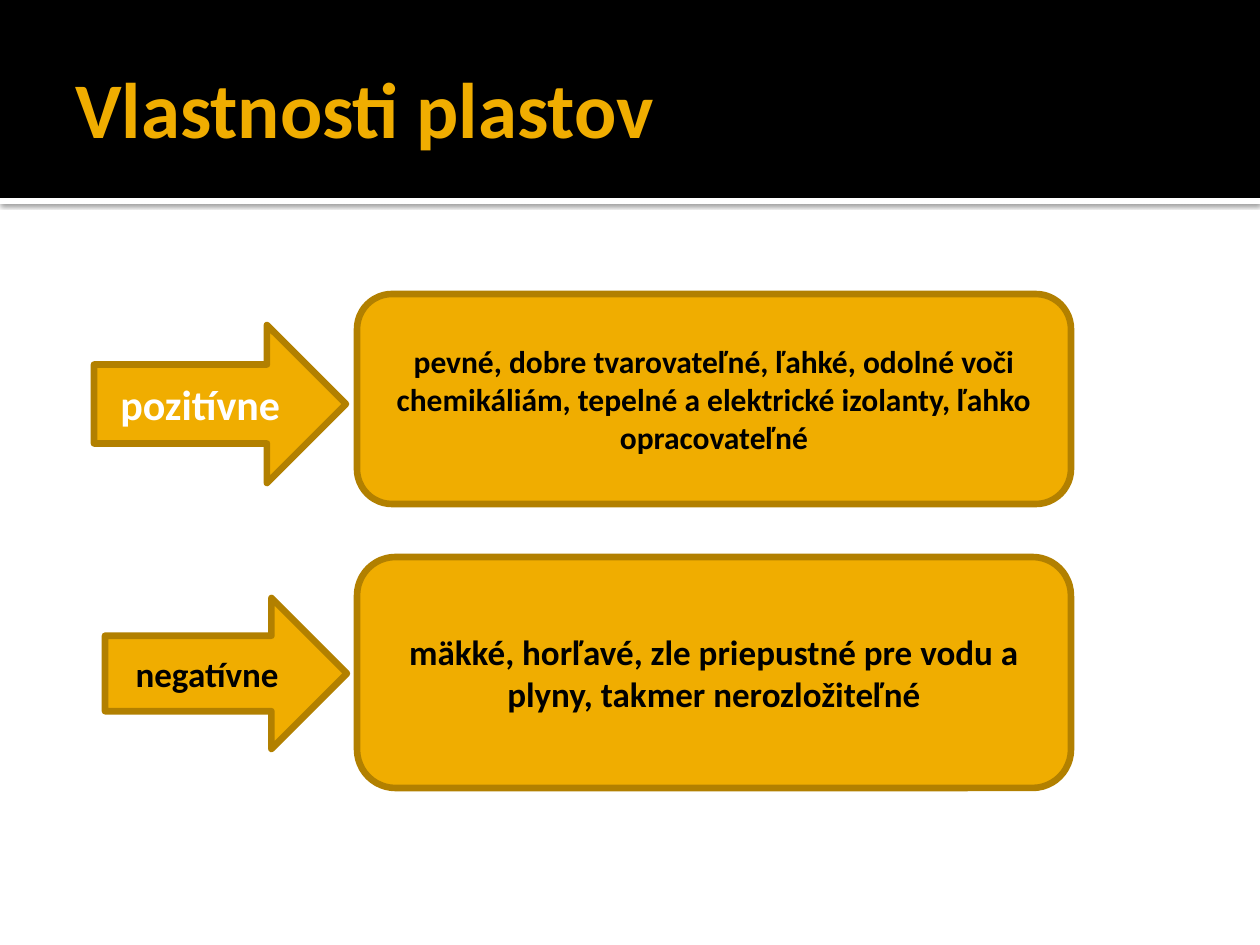
from lxml.etree import SubElement
from pptx import Presentation
from pptx.dml.color import RGBColor
from pptx.enum.shapes import MSO_SHAPE
from pptx.enum.text import MSO_ANCHOR, PP_ALIGN
from pptx.oxml.ns import qn
from pptx.util import Emu, Pt

AMBER = RGBColor(0xF0, 0xAD, 0x00)
BRONZE = RGBColor(0xB2, 0x80, 0x00)
BLACK = RGBColor(0, 0, 0)
WHITE = RGBColor(255, 255, 255)


def px(length):
    """Turn pixels, 126 to the inch, into EMU."""
    return Emu(round(length * 914400 / 126))


def write(shape, text, size, color, align=PP_ALIGN.CENTER):
    """Put one bold, vertically centred paragraph in a shape."""
    frame = shape.text_frame
    frame.word_wrap = True
    frame.vertical_anchor = MSO_ANCHOR.MIDDLE
    para = frame.paragraphs[0]
    para.alignment = align
    span = para.add_run()
    span.text = text
    font = span.font
    font.name, font.size, font.bold = "Calibri", Pt(size), True
    font.color.rgb = color


class Page:
    """Hold the slide and draw its kinds of element."""

    def __init__(self, deck):
        """Add a blank slide."""
        self.slide = deck.slides.add_slide(deck.slide_layouts[6])

    def shape(self, kind, area, fill, line=None):
        """Draw a filled preset shape."""
        shape = self.slide.shapes.add_shape(kind, *map(px, area))
        shape.shadow.inherit = False
        shape.fill.solid()
        shape.fill.fore_color.rgb = fill
        if line is None:
            shape.line.fill.background()
        else:
            shape.line.color.rgb = line
            shape.line.width = Pt(3.78)
        return shape

    def band(self, area, fill, shadow=False):
        """Draw a header band, with a soft shadow below it if asked."""
        band = self.shape(MSO_SHAPE.RECTANGLE, area, fill)
        if shadow:
            effects = band._element.spPr.find(qn("a:effectLst"))
            outer = SubElement(effects, qn("a:outerShdw"), blurRad=str(Pt(2.5)),
                               dist=str(Pt(0.8)), dir="5400000", rotWithShape="0")
            color = SubElement(outer, qn("a:srgbClr"), val=str(BLACK))
            SubElement(color, qn("a:alpha"), val="60000")

    def title(self, area, text):
        """Write the slide title."""
        box = self.slide.shapes.add_textbox(*map(px, area))
        write(box, text, 45, AMBER, PP_ALIGN.LEFT)
        box.text_frame.margin_right = px(6)

    def card(self, kind, area, text, size, color=BLACK):
        """Draw an amber shape with a label."""
        write(self.shape(kind, area, AMBER, BRONZE), text, size, color)


def main():
    """Build the slide on the properties of plastics."""
    deck = Presentation()
    deck.slide_width, deck.slide_height = px(1260), px(945)
    page = Page(deck)
    page.band((0, 198, 1260, 6), WHITE, shadow=True)
    page.band((0, 0, 1260, 198), BLACK)
    page.title((63, 21, 1134, 173), "Vlastnosti plastov")

    arrow, panel = MSO_SHAPE.RIGHT_ARROW, MSO_SHAPE.ROUNDED_RECTANGLE
    page.card(arrow, (94, 325, 252, 158), "pozitívne", 24, WHITE)
    page.card(panel, (357, 294, 714, 210),
              "pevné, dobre tvarovateľné, ľahké, odolné voči chemikáliám, "
              "tepelné a elektrické izolanty, ľahko opracovateľné", 18)
    page.card(arrow, (105, 598, 242, 151), "negatívne", 20)
    page.card(panel, (357, 557, 714, 231),
              "mäkké, horľavé, zle priepustné pre vodu a plyny, "
              "takmer nerozložiteľné", 20)
    deck.save("out.pptx")


if __name__ == "__main__":
    main()
